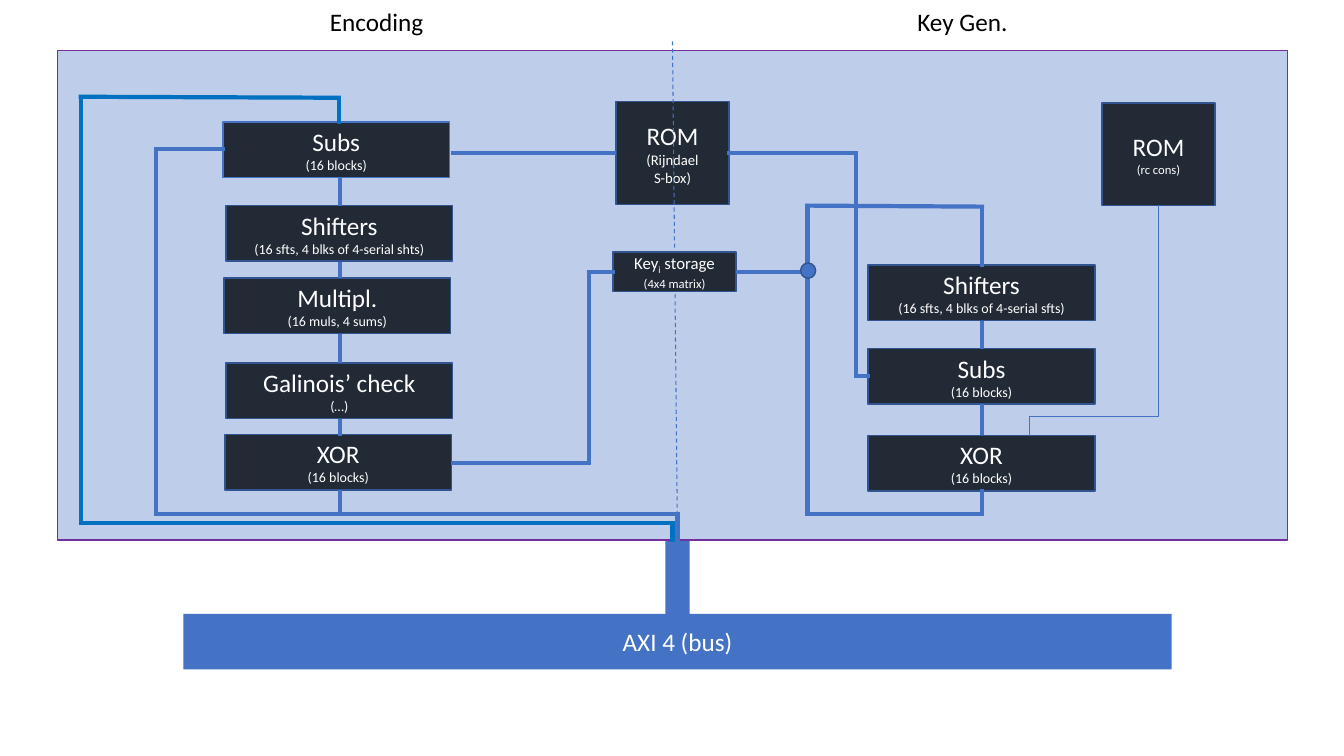
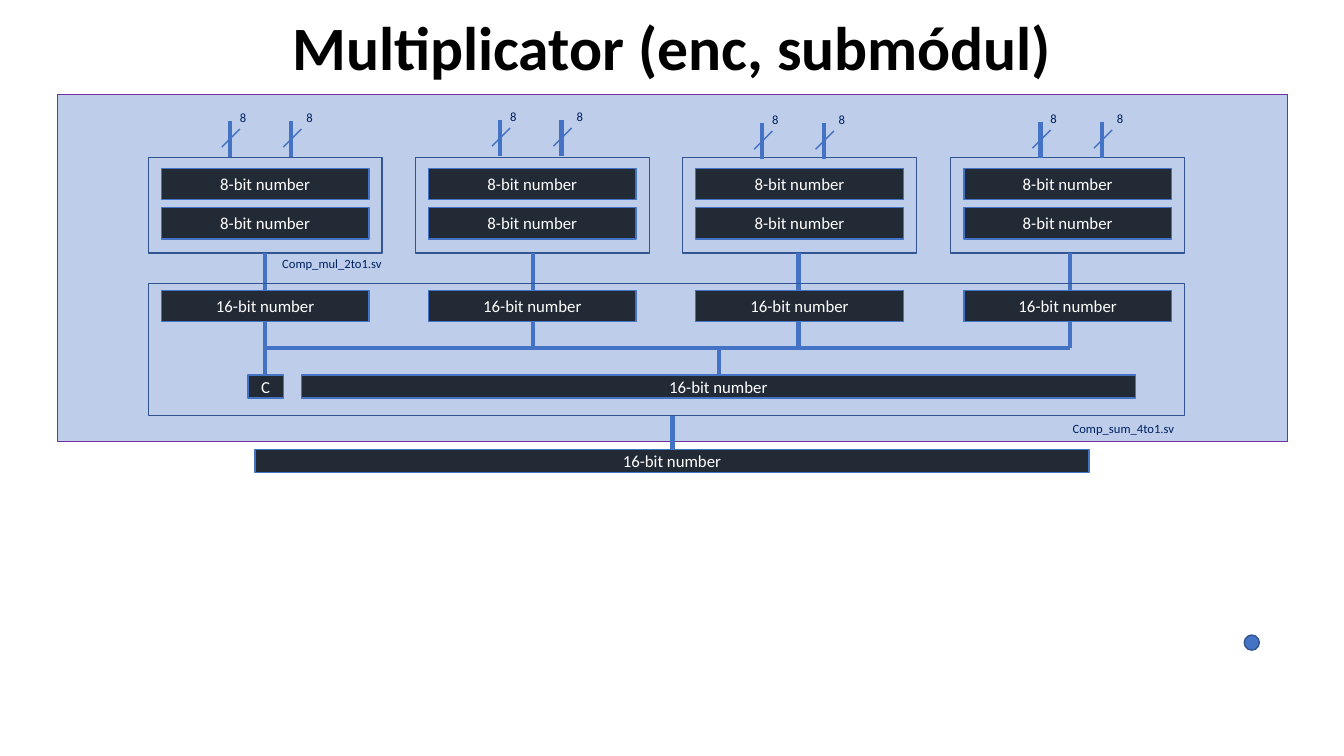
from dataclasses import dataclass
from itertools import pairwise

from lxml import etree
from pptx import Presentation
from pptx.dml.color import RGBColor
from pptx.enum.dml import MSO_LINE
from pptx.enum.shapes import MSO_CONNECTOR, MSO_SHAPE
from pptx.enum.text import MSO_ANCHOR, PP_ALIGN
from pptx.oxml.ns import qn
from pptx.util import Pt

RECT, OVAL = MSO_SHAPE.RECTANGLE, MSO_SHAPE.OVAL
STRAIGHT = MSO_CONNECTOR.STRAIGHT
DASH = MSO_LINE.DASH
TOP, MIDDLE = MSO_ANCHOR.TOP, MSO_ANCHOR.MIDDLE
LEFT, CENTER = PP_ALIGN.LEFT, PP_ALIGN.CENTER

SCALE = 9144  # EMU per px, 100 px to the inch


@dataclass(frozen=True)
class Theme:
    font: str = "Calibri"
    blue: str = "4472C4"
    edge: str = "325491"
    block: str = "222A35"
    frame: str = "7030A0"
    feed: str = "0070C0"
    note: str = "002060"
    white: str = "FFFFFF"
    black: str = "000000"
    panel_alpha: int = 35
    title: float = 44
    head: float = 18
    label: float = 12
    sbox: float = 10.5
    detail: float = 10
    small: float = 9
    wire: float = 3
    thin: float = 1


T = Theme()


def px(*lengths):
    return [length * SCALE for length in lengths]


def rgb(code):
    return RGBColor.from_string(code)


# Text: each paragraph is (text, size); "_x_" inside the text sets x as subscript
def write(shape, paragraphs, color, align=CENTER, anchor=MIDDLE, bold=False, spacing=None):
    frame = shape.text_frame
    for name, value in {"word_wrap": True, "vertical_anchor": anchor}.items():
        setattr(frame, name, value)
    for index, (text, size) in enumerate(paragraphs):
        paragraph = frame.paragraphs[0] if index == 0 else frame.add_paragraph()
        for name, value in {"alignment": align, "line_spacing": spacing}.items():
            setattr(paragraph, name, value)
        pieces = text.split("_") if text.count("_") == 2 and " " in text else [text]
        for position, piece in enumerate(pieces):
            run = paragraph.add_run()
            run.text = piece
            for name, value in {"name": T.font, "size": Pt(size), "bold": bold}.items():
                setattr(run.font, name, value)
            run.font.color.rgb = rgb(color)
            if position == 1:
                run._r.get_or_add_rPr().set("baseline", "-25000")


# Shapes
def box(slide, place, fill=None, edge=None, paragraphs=(), kind=RECT, alpha=None):
    shape = slide.shapes.add_shape(kind, *px(*place))
    shape.shadow.inherit = False
    if fill:
        shape.fill.solid()
        shape.fill.fore_color.rgb = rgb(fill)
    else:
        shape.fill.background()
    if alpha:
        tint = shape.fill._xPr.find(qn("a:solidFill"))[0]
        etree.SubElement(tint, qn("a:alpha")).set("val", str(alpha * 1000))
    if edge:
        shape.line.color.rgb = rgb(edge)
        shape.line.width = Pt(T.thin)
    else:
        shape.line.fill.background()
    if paragraphs:
        write(shape, paragraphs, T.white)


def panel(slide, top, height):
    box(slide, (57, top, 1220, height), T.blue, T.frame, alpha=T.panel_alpha)


def stage(slide, place, name, detail, edge=T.edge):
    box(slide, (*place, 225, 55), T.block, edge, [(name, T.head), (detail, T.detail)])


def number(slide, place, text):
    box(slide, place, T.block, T.blue, [(text, T.label)])


def node(slide, left, top):
    box(slide, (left, top, 15, 15), T.blue, T.edge, kind=OVAL)


def caption(slide, place, text, size, color, **layout):
    write(slide.shapes.add_textbox(*px(*place)), [(text, size)], color, **layout)


def note(slide, place, text):
    caption(slide, place, text, T.small, T.note, align=LEFT, anchor=TOP)


# A wire runs through its points; square caps close the corners
def wire(slide, *points, color=T.blue, width=T.wire, dash=None):
    for start, end in pairwise(points):
        segment = slide.shapes.add_connector(STRAIGHT, *px(*start, *end))
        segment.line.color.rgb = rgb(color)
        segment.line.width = Pt(width)
        if dash:
            segment.line.dash_style = dash
        if len(points) > 2:
            segment.line._get_or_add_ln().set("cap", "sq")
        etree.SubElement(segment._element.spPr, qn("a:effectLst"))


def build_overview(slide):
    # Bus and module panel
    box(slide, (182, 609, 980, 55), T.blue, paragraphs=[("AXI 4 (bus)", T.head)])
    box(slide, (660, 536, 24, 74), T.blue)
    panel(slide, 50, 486)
    for left, heading in ((253, "Encoding"), (834, "Key Gen.")):
        caption(slide, (left, 1, 241, 40), heading, T.head, T.black, anchor=TOP)

    # Memories, with the divider between both halves
    box(slide, (611, 101, 112, 102), T.block, T.edge,
        [("ROM", T.head), ("(Rijndael", T.sbox), ("S-box)", T.sbox)])
    wire(slide, (667, 41), (672, 536), width=0.75, dash=DASH)
    box(slide, (1093, 102, 112, 102), T.block, T.edge,
        [("ROM", T.head), ("(rc cons)", T.small)])
    box(slide, (608, 250, 122, 39), T.block, T.edge,
        [("Key_i_ storage", T.label), ("(4x4 matrix)", T.small)])

    # Encoding stages
    stage(slide, (221, 121), "Subs", "(16 blocks)", edge=T.blue)
    stage(slide, (224, 204), "Shifters", "(16 sfts, 4 blks of 4-serial shts)")
    stage(slide, (222, 276), "Multipl.", "(16 muls, 4 sums)")
    stage(slide, (224, 360), "Galinois’ check", "(…)")
    stage(slide, (223, 431), "XOR", "(16 blocks)")
    for top, bottom in ((176, 204), (260, 276), (331, 360), (416, 433), (486, 510)):
        wire(slide, (337, top), (337, bottom))

    # Key generation stages
    for top, name, detail in (
        (263, "Shifters", "(16 sfts, 4 blks of 4-serial sfts)"),
        (346, "Subs", "(16 blocks)"),
        (432, "XOR", "(16 blocks)"),
    ):
        stage(slide, (861, top), name, detail)
    for top, bottom in ((318, 346), (401, 432)):
        wire(slide, (974, top), (974, bottom))

    # Key storage and S-box routes
    wire(slide, (730, 270), (801, 270))
    wire(slide, (974, 263), (974, 205), (801, 204), (801, 510), (974, 510), (974, 487))
    wire(slide, (1149, 204), (1149, 413), (1021, 413), (1021, 432), width=0.5)
    wire(slide, (723, 152), (849, 152), (849, 373), (861, 373))
    node(slide, 794, 261)
    wire(slide, (611, 152), (447, 152))
    wire(slide, (608, 270), (584, 270), (584, 459), (449, 459))

    # Bus routes
    wire(slide, (672, 536), (672, 510), (155, 510), (155, 148), (221, 148))
    wire(slide, (667, 536), (667, 519), (80, 519), (80, 96), (336, 97), (336, 121),
         color=T.feed)


def build_multiplier(slide):
    panel(slide, 94, 344)
    node(slide, 1234, 630)
    caption(slide, (92, 11, 1150, 78), "Multiplicator (enc, submódul)", T.title, T.black,
            bold=True, spacing=0.9)

    # Four multipliers: first input wire, bottom of the inputs, output wire
    columns = ((228, 156, 263), (496, 155, 529), (756, 158, 792), (1032, 157, 1061))
    for column, (input_x, input_bottom, output_x) in enumerate(columns):
        left = 147 + column * 796 // 3
        box(slide, (left, 156, 232, 95), edge=T.edge)
        for top, text in ((167, "8-bit number"), (206, "8-bit number"), (288, "16-bit number")):
            number(slide, (left + 13, top, 206, 31), text)
        wire(slide, (output_x, 288), (output_x, 251))
        wire(slide, (output_x, 318), (output_x, 345))
        for x, label_x in ((input_x, input_x), (input_x + 61, input_x + 66)):
            wire(slide, (x, input_bottom), (x, input_bottom - 36))
            wire(slide, (x - 8, input_bottom - 10), (x + 10, input_bottom - 28), width=T.thin)
            note(slide, (label_x, input_bottom - 52, 25, 25), "8")
    note(slide, (270, 249, 121, 25), "Comp_mul_2to1.sv")

    # Adder
    box(slide, (147, 281, 1028, 131), edge=T.edge)
    wire(slide, (263, 345), (1061, 345))
    for x in (263, 713):
        wire(slide, (x, 345), (x, 372))
    number(slide, (246, 372, 35, 23), "C")
    number(slide, (299, 372, 827, 23), "16-bit number")
    note(slide, (1054, 413, 121, 25), "Comp_sum_4to1.sv")

    # Result
    wire(slide, (667, 413), (667, 449))
    number(slide, (253, 446, 827, 23), "16-bit number")


def main():
    deck = Presentation()
    deck.slide_width, deck.slide_height = px(1333, 750)
    blank = deck.slide_layouts[6]
    for build in (build_overview, build_multiplier):
        build(deck.slides.add_slide(blank))
    deck.save("out.pptx")


if __name__ == "__main__":
    main()
